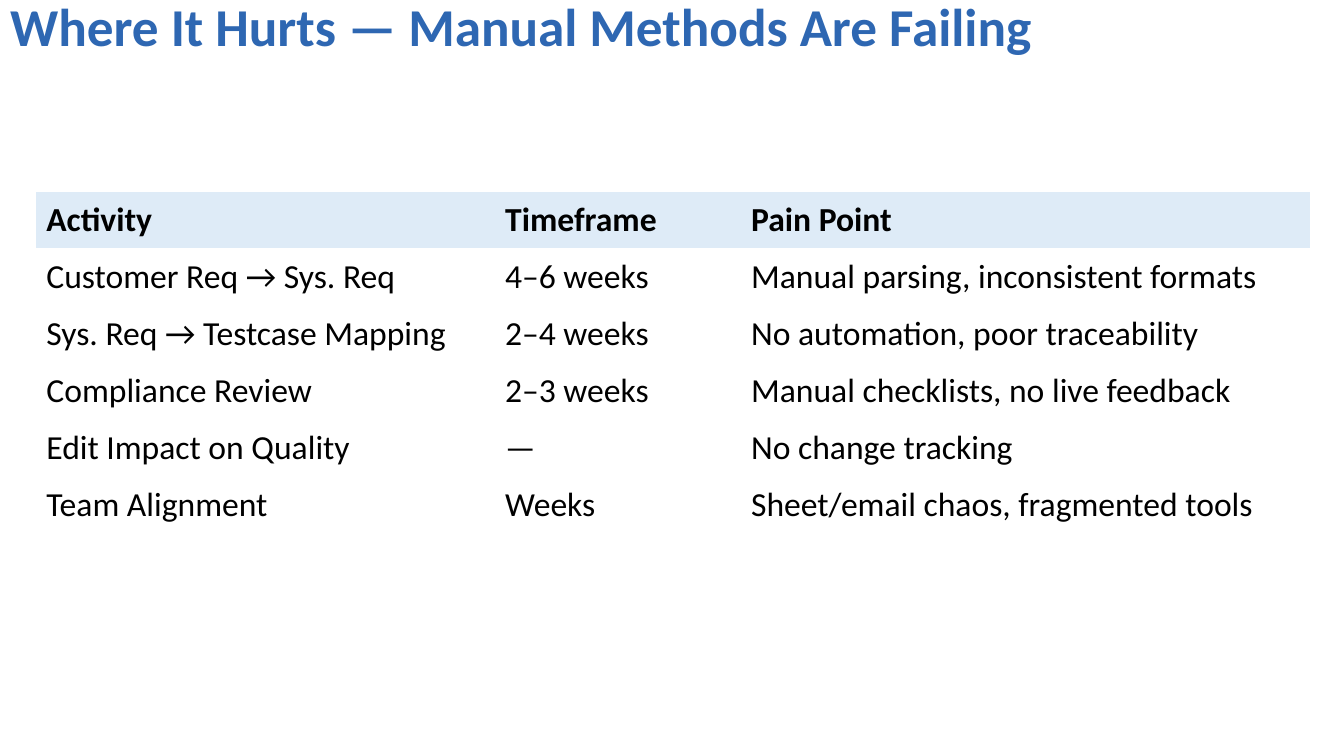
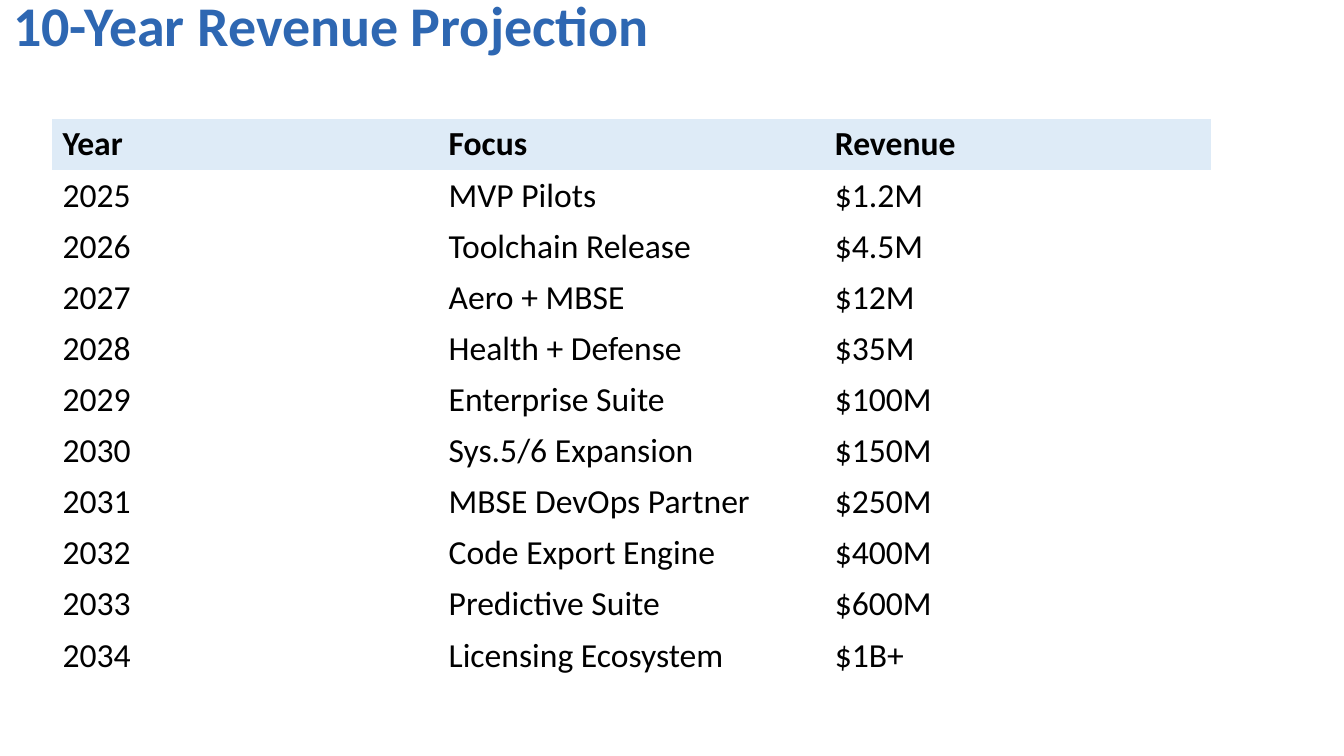
from dataclasses import dataclass

from pptx import Presentation
from pptx import util as u
from pptx.dml.color import RGBColor
from pptx.enum import text
from pptx.oxml.ns import qn

EMU_PER_PX = 9144  # 100 px to the inch
TITLE_ONLY = 5
PLAIN_TABLE_STYLE = "{2D5ABB26-0587-4C30-8999-92F81FD0307C}"


@dataclass(frozen=True)
class Theme:
    font: str = "Calibri"
    title_color: RGBColor = RGBColor(0x2E, 0x67, 0xB2)
    body_color: RGBColor = RGBColor(0, 0, 0)
    header_fill: RGBColor = RGBColor(0xDE, 0xEB, 0xF7)
    cell_size: int = 24


THEME = Theme()

PAIN_POINTS = [
    ("Activity", "Timeframe", "Pain Point"),
    ("Customer Req → Sys. Req", "4–6 weeks", "Manual parsing, inconsistent formats"),
    ("Sys. Req → Testcase Mapping", "2–4 weeks", "No automation, poor traceability"),
    ("Compliance Review", "2–3 weeks", "Manual checklists, no live feedback"),
    ("Edit Impact on Quality", "—", "No change tracking"),
    ("Team Alignment", "Weeks", "Sheet/email chaos, fragmented tools"),
]

REVENUE = [
    ("Year", "Focus", "Revenue"),
    ("2025", "MVP Pilots", "$1.2M"),
    ("2026", "Toolchain Release", "$4.5M"),
    ("2027", "Aero + MBSE", "$12M"),
    ("2028", "Health + Defense", "$35M"),
    ("2029", "Enterprise Suite", "$100M"),
    ("2030", "Sys.5/6 Expansion", "$150M"),
    ("2031", "MBSE DevOps Partner", "$250M"),
    ("2032", "Code Export Engine", "$400M"),
    ("2033", "Predictive Suite", "$600M"),
    ("2034", "Licensing Ecosystem", "$1B+"),
]


def px(length):
    return u.Emu(length * EMU_PER_PX)


def write(frame, words, *, size, color, bold=False, line_spacing=None):
    paragraph = frame.paragraphs[0]
    paragraph.alignment = text.PP_ALIGN.LEFT
    paragraph.line_spacing = line_spacing
    run = paragraph.add_run()
    run.text = words
    run.font.name = THEME.font
    run.font.size = u.Pt(size)
    run.font.bold = bold
    run.font.color.rgb = color


def add_titled_slide(prs, words, *, left, width, height, size):
    slide = prs.slides.add_slide(prs.slide_layouts[TITLE_ONLY])
    title = slide.shapes.title
    title.left, title.top = px(left), px(0)
    title.width, title.height = px(width), px(height)
    frame = title.text_frame
    frame.word_wrap = True
    frame.auto_size = text.MSO_AUTO_SIZE.NONE
    frame.vertical_anchor = text.MSO_ANCHOR.MIDDLE
    write(frame, words, size=size, color=THEME.title_color, bold=True,
          line_spacing=0.9)
    return slide


def add_grid(slide, rows, *, left, top, column_widths, height):
    """Add a borderless table whose first row is a tinted header."""
    holder = slide.shapes.add_table(len(rows), len(column_widths), px(left), px(top),
                                    px(sum(column_widths)), px(height))
    for style in holder.element.iter(qn("a:tableStyleId")):
        style.text = PLAIN_TABLE_STYLE
    table = holder.table
    table.horz_banding = False
    for column, width in zip(table.columns, column_widths):
        column.width = px(width)
    for r, row in enumerate(rows):
        is_header = r == 0
        for c, words in enumerate(row):
            cell = table.cell(r, c)
            cell.vertical_anchor = text.MSO_ANCHOR.MIDDLE
            if is_header:
                cell.fill.solid()
                cell.fill.fore_color.rgb = THEME.header_fill
            else:
                cell.fill.background()
            write(cell.text_frame, words, size=THEME.cell_size,
                  color=THEME.body_color, bold=is_header)


def main():
    prs = Presentation()
    prs.slide_width, prs.slide_height = px(1333), px(750)

    pain = add_titled_slide(prs, "Where It Hurts — Manual Methods Are Failing",
                            left=0, width=1150, height=59, size=38)
    add_grid(pain, PAIN_POINTS, left=36, top=190,
             column_widths=(455, 244, 564), height=339)

    revenue = add_titled_slide(prs, "10-Year Revenue Projection",
                               left=3, width=735, height=57, size=40)
    add_grid(revenue, REVENUE, left=52, top=118,
             column_widths=(383,) * 3, height=550)

    prs.save("out.pptx")


if __name__ == "__main__":
    main()
